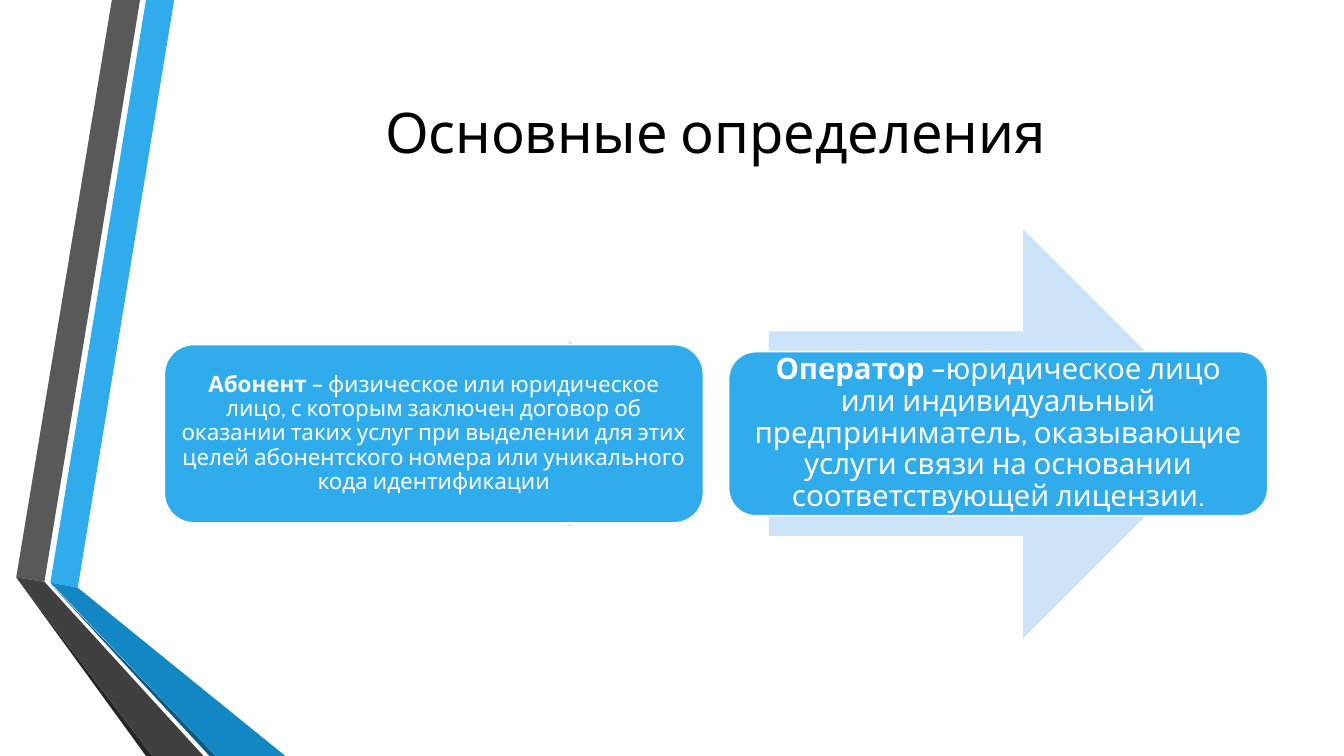
from pptx import Presentation
from pptx.dml.color import RGBColor
from pptx.enum.shapes import MSO_SHAPE
from pptx.enum.text import MSO_ANCHOR, PP_ALIGN
from pptx.util import Cm, Pt

FONT = "Cabin"
COLORS = {
    "blue": "30ACEC", "deep blue": "1287C3", "navy": "0C5A82",
    "gray": "595959", "dark gray": "404040", "charcoal": "262626",
    "pale blue": "CDE3F8", "white": "FFFFFF", "black": "000000",
}

# Folded ribbon on the left edge: colour and corner points in cm
BOTTOM = 19.05
RIBBON = [
    ("blue", [(1.27, 14.68), (1.96, 14.81), (4.39, 0), (3.68, 0)]),
    ("gray", [(3.53, 0), (2.82, 0), (0.41, 14.55), (1.12, 14.66)]),
    ("charcoal", [(0.41, 14.55), (3.68, BOTTOM), (3.84, BOTTOM)]),
    ("navy", [(1.27, 14.71), (5.28, BOTTOM), (5.44, BOTTOM)]),
    ("deep blue", [(1.27, 14.68), (5.44, BOTTOM), (7.19, BOTTOM), (1.96, 14.81)]),
    ("dark gray", [(5.13, BOTTOM), (1.12, 14.66), (0.41, 14.55), (3.84, BOTTOM)]),
]

# Definitions share one horizontal axis and one width (cm)
AXIS = 10.93
CARD_WIDTH = 13.59
ARROW_WIDTH = 11.56


def rgb(name):
    return RGBColor.from_string(COLORS[name])


def paint(shape, color):
    shape.shadow.inherit = False
    shape.fill.solid()
    shape.fill.fore_color.rgb = rgb(color)
    shape.line.fill.background()


def format_run(run, size, color, bold=False):
    run.font.name = FONT
    run.font.size = Pt(size)
    run.font.bold = bold
    run.font.color.rgb = rgb(color)


def add_ribbon_piece(slide, color, corners):
    points = [(Cm(x), Cm(y)) for x, y in corners]
    outline = slide.shapes.build_freeform(*points[0])
    outline.add_line_segments(points[1:], close=True)
    paint(outline.convert_to_shape(), color)


def set_title(slide, text):
    title = slide.shapes.title
    title.left, title.top = Cm(4.11), Cm(1.9)
    title.width, title.height = Cm(27.84), Cm(2.82)
    title.text_frame.text = text
    title.text_frame.vertical_anchor = MSO_ANCHOR.MIDDLE
    heading = title.text_frame.paragraphs[0]
    heading.alignment = PP_ALIGN.CENTER
    format_run(heading.runs[0], 40, "black")


def add_on_axis(slide, preset, left, width, height, color):
    shape = slide.shapes.add_shape(
        preset, Cm(left), Cm(AXIS - height / 2), Cm(width), Cm(height))
    paint(shape, color)
    return shape


def add_definition(slide, left, arrow_offset, arrow_height, card_height,
                   term, meaning, size, inset):
    add_on_axis(slide, MSO_SHAPE.RIGHT_ARROW, left + arrow_offset,
                ARROW_WIDTH, arrow_height, "pale blue")
    card = add_on_axis(slide, MSO_SHAPE.ROUNDED_RECTANGLE, left,
                       CARD_WIDTH, card_height, "blue")
    card.line.color.rgb = rgb("white")
    card.line.width = Pt(1.25)

    frame = card.text_frame
    frame.word_wrap = True
    frame.vertical_anchor = MSO_ANCHOR.MIDDLE
    frame.margin_left = frame.margin_right = Cm(inset)
    frame.margin_top = frame.margin_bottom = Cm(inset)
    definition = frame.paragraphs[0]
    definition.alignment = PP_ALIGN.CENTER
    definition.line_spacing = 0.9
    for text, bold in ((term, True), (meaning, False)):
        run = definition.add_run()
        run.text = text
        format_run(run, size, "white", bold)


def main():
    deck = Presentation()
    deck.slide_width, deck.slide_height = Cm(33.87), Cm(BOTTOM)
    slide = deck.slides.add_slide(deck.slide_layouts.get_by_name("Title Only"))

    for color, corners in RIBBON:
        add_ribbon_piece(slide, color, corners)
    set_title(slide, "Основные определения")

    # Subscriber, then operator
    add_definition(
        slide, 4.14, 0.99, 4.72, 4.5, "Абонент",
        " – физическое или юридическое лицо, с которым заключен договор об "
        "оказании таких услуг при выделении для этих целей абонентского "
        "номера или уникального кода идентификации", 16, 0.18)
    add_definition(
        slide, 18.36, 1.02, 10.31, 4.14, "Оператор",
        " –юридическое лицо или индивидуальный предприниматель, оказывающие "
        "услуги связи на основании соответствующей лицензии.", 21, 0.23)

    deck.save("out.pptx")


if __name__ == "__main__":
    main()
